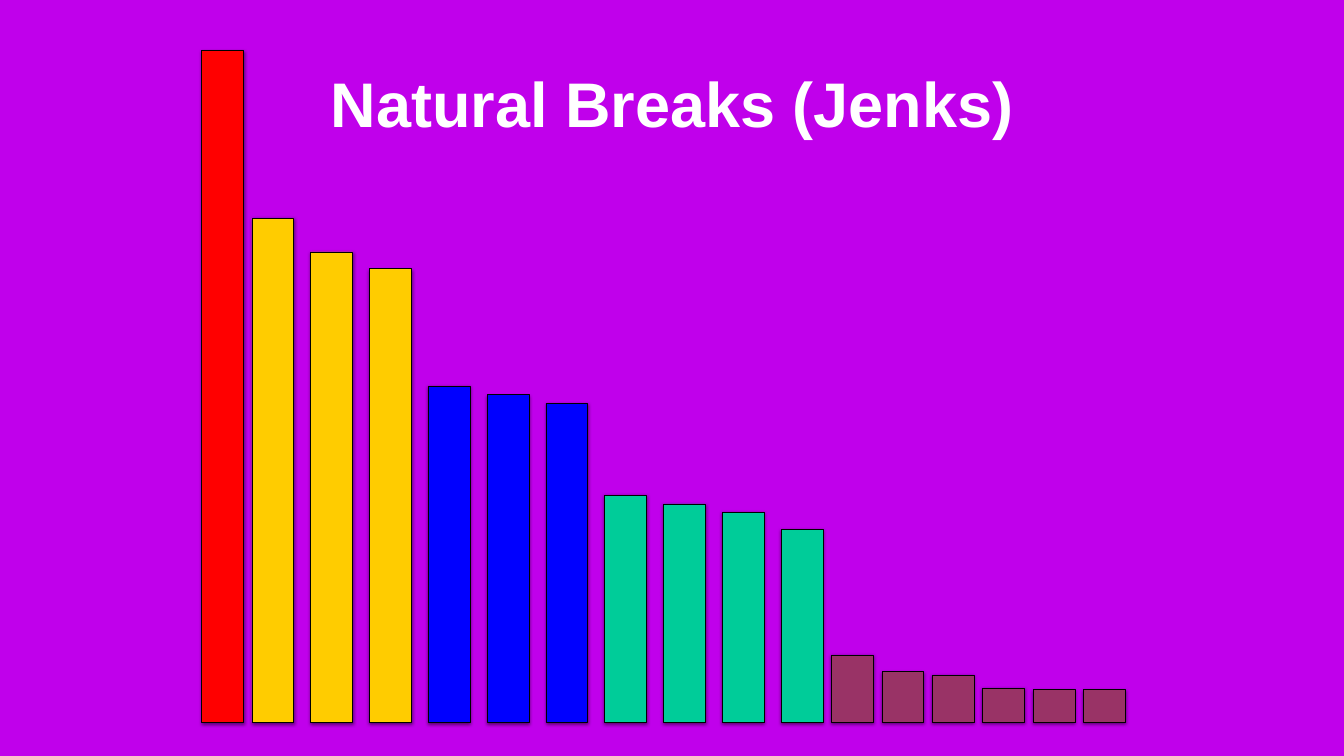
from dataclasses import dataclass

from lxml.etree import SubElement
from pptx import Presentation
from pptx.dml.color import RGBColor
from pptx.enum.shapes import MSO_SHAPE
from pptx.enum.text import MSO_ANCHOR, MSO_AUTO_SIZE, PP_ALIGN
from pptx.oxml.ns import qn
from pptx.shapes.autoshape import Shape
from pptx.slide import Slide
from pptx.util import Inches, Pt

COLORS = {
    "background": "C000EB",
    "title": "FFFFFF",
    "outline": "000000",
    "red": "FF0000",
    "gold": "FFCC00",
    "blue": "0000FF",
    "green": "00CC99",
    "plum": "993366",
}
BASELINE = 14.33
BAR_WIDTH = 0.83
WIDE_PITCH = 7 / 6


@dataclass
class BarClass:
    """One natural class: neighbouring bars of the same colour."""
    color: str
    left: float
    pitch: float
    heights: tuple[float, ...]


BAR_CLASSES = [
    BarClass("red", 4, 1, (13.33,)),
    BarClass("gold", 5, WIDE_PITCH, (10, 9.33, 9)),
    BarClass("blue", 8.5, WIDE_PITCH, (6.67, 6.5, 6.33)),
    BarClass("green", 12, WIDE_PITCH, (4.5, 4.33, 4.17, 3.83)),
    BarClass("plum", 16.5, 1, (1.33, 1, 0.93, 0.67, 0.65, 0.65)),
]


def rgb(name: str) -> RGBColor:
    return RGBColor.from_string(COLORS[name])


def add_shadow(shape: Shape) -> None:
    """Give the shape a soft black shadow straight below it."""
    shape.shadow.inherit = False
    effects = shape.element.spPr.find(qn("a:effectLst"))
    shadow = SubElement(effects, qn("a:outerShdw"), blurRad=str(Pt(5)),
                        dist=str(Pt(2)), dir=str(90 * 60000), rotWithShape="0")
    color = SubElement(shadow, qn("a:srgbClr"), val=COLORS["outline"])
    SubElement(color, qn("a:alpha"), val="50000")


def add_bar(slide: Slide, left: float, height: float, color: str) -> None:
    bar = slide.shapes.add_shape(
        MSO_SHAPE.RECTANGLE, Inches(left), Inches(BASELINE - height),
        Inches(BAR_WIDTH), Inches(height))
    bar.fill.solid()
    bar.fill.fore_color.rgb = rgb(color)
    bar.line.color.rgb = rgb("outline")
    bar.line.width = Pt(1)
    add_shadow(bar)


def add_bar_class(slide: Slide, group: BarClass) -> None:
    for index, height in enumerate(group.heights):
        add_bar(slide, group.left + index * group.pitch, height, group.color)


def set_title(slide: Slide, text: str) -> None:
    title = slide.shapes.title
    title.left, title.top = Inches(4.51), Inches(0.37)
    title.width, title.height = Inches(17.66), Inches(3.3)
    frame = title.text_frame
    frame.word_wrap = True
    frame.auto_size = MSO_AUTO_SIZE.NONE
    frame.vertical_anchor = MSO_ANCHOR.MIDDLE
    frame.margin_left = frame.margin_right = Inches(0.08)
    frame.margin_top = frame.margin_bottom = Inches(0.08)
    para = frame.paragraphs[0]
    para.alignment = PP_ALIGN.CENTER
    span = para.add_run()
    span.text = text
    span.font.name = "Arial"
    span.font.size = Pt(90)
    span.font.bold = True
    span.font.color.rgb = rgb("title")
    # Bring the title in front of the bars
    title.element.getparent().append(title.element)


def main() -> None:
    deck = Presentation()
    deck.slide_width, deck.slide_height = Inches(26.67), Inches(15)
    slide = deck.slides.add_slide(deck.slide_layouts.get_by_name("Title Only"))

    # Background
    slide.background.fill.solid()
    slide.background.fill.fore_color.rgb = rgb("background")

    # Bars, sorted from largest to smallest
    for group in BAR_CLASSES:
        add_bar_class(slide, group)

    # Title
    set_title(slide, "Natural Breaks (Jenks)")

    deck.save("out.pptx")


if __name__ == "__main__":
    main()
